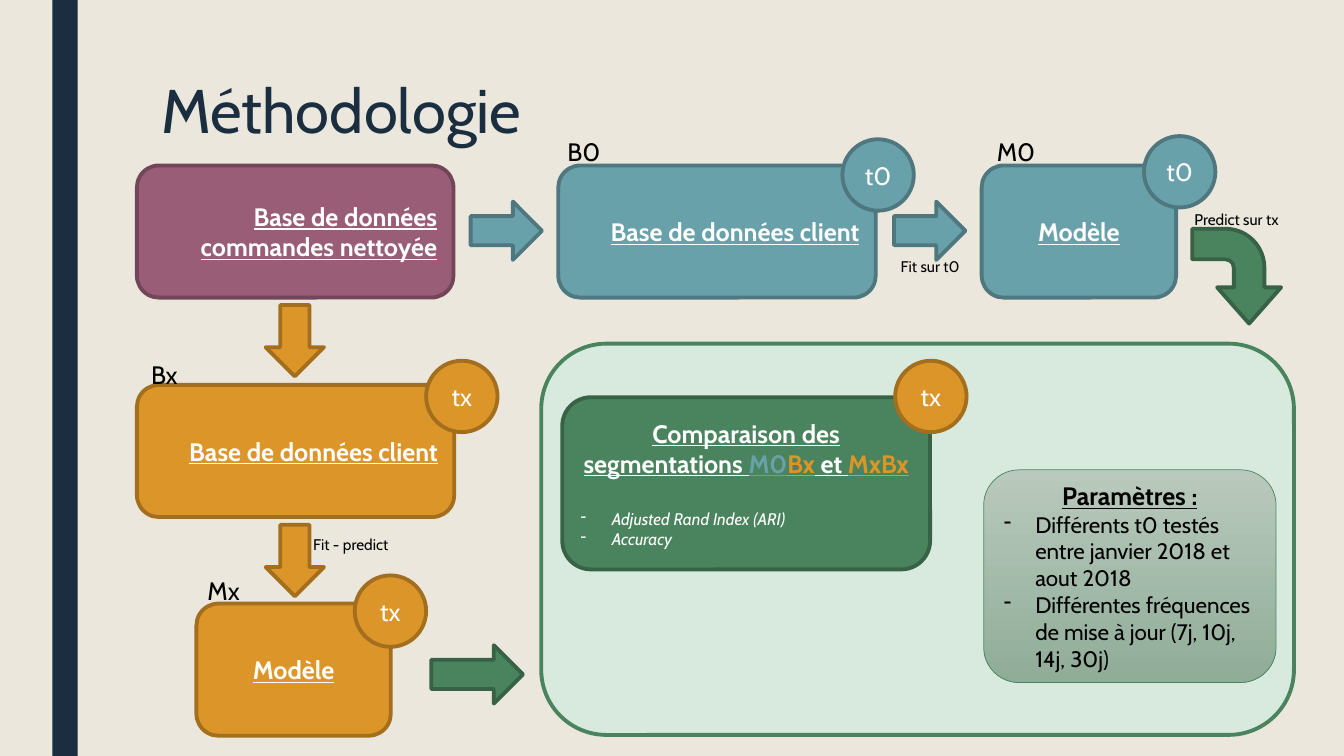
from lxml import etree
from pptx import Presentation
from pptx.dml.color import RGBColor
from pptx.enum.shapes import MSO_SHAPE
from pptx.enum.text import MSO_ANCHOR, PP_ALIGN
from pptx.oxml.ns import qn
from pptx.util import Cm, Pt

ROUNDED, RECTANGLE, CIRCLE = MSO_SHAPE.ROUNDED_RECTANGLE, MSO_SHAPE.RECTANGLE, MSO_SHAPE.OVAL
ARROW, BENT_ARROW = MSO_SHAPE.RIGHT_ARROW, MSO_SHAPE.BENT_ARROW
LEFT, CENTER, RIGHT = PP_ALIGN.LEFT, PP_ALIGN.CENTER, PP_ALIGN.RIGHT
MIDDLE, TOP = MSO_ANCHOR.MIDDLE, MSO_ANCHOR.TOP

BACKGROUND = RGBColor(0xEB, 0xE7, 0xDD)
NAVY = RGBColor(0x1A, 0x2E, 0x40)
WHITE = RGBColor(0xFF, 0xFF, 0xFF)
BLACK = RGBColor(0x00, 0x00, 0x00)
PALE_GREEN = RGBColor(0xD8, 0xE9, 0xDE)
GREY_LIGHT = RGBColor(0xB9, 0xC9, 0xBD)
GREY_GREEN = RGBColor(0x90, 0xAD, 0x98)
TEAL = RGBColor(0x69, 0xA1, 0xAB)
ORANGE = RGBColor(0xDC, 0x95, 0x28)
GREEN = RGBColor(0x4A, 0x84, 0x5E)
PURPLE_PAIR = (RGBColor(0x9A, 0x5D, 0x78), RGBColor(0x72, 0x45, 0x59))
TEAL_PAIR = (TEAL, RGBColor(0x4E, 0x77, 0x7F))
ORANGE_PAIR = (ORANGE, RGBColor(0xA3, 0x6E, 0x1E))
GREEN_PAIR = (GREEN, RGBColor(0x37, 0x62, 0x46))

FONT = "Cabin"
HEADING = {"size": Pt(18), "bold": True, "underline": True}
PLAIN = {"size": Pt(18)}
NOTE = {"size": Pt(11)}
METRIC = {"size": Pt(12), "italic": True}
PARAMETER = {"size": Pt(16)}
TITLE = {"size": Pt(44)}
BADGE_SIZE = 1.8
ARROW_SIZE = (1.8, 1.47)


def place(slide, kind, box, colours, width=2.75):
    """Draw a preset shape with its fill and outline."""
    shape = slide.shapes.add_shape(kind, *map(Cm, box))
    shape.shadow.inherit = False
    fill, outline = colours
    if fill is not None:
        shape.fill.solid()
        shape.fill.fore_color.rgb = fill
    if outline is None:
        shape.line.fill.background()
    else:
        shape.line.color.rgb = outline
        shape.line.width = Pt(width)
    return shape


def write(shape, paragraphs, anchor=MIDDLE):
    """Write (alignment, format, coloured runs, bulleted) paragraphs in a shape."""
    frame = shape.text_frame
    frame.word_wrap = True
    frame.vertical_anchor = anchor
    for index, (alignment, style, pieces, bulleted) in enumerate(paragraphs):
        paragraph = frame.add_paragraph() if index else frame.paragraphs[0]
        paragraph.alignment = alignment
        if bulleted:
            properties = paragraph._p.get_or_add_pPr()
            properties.set("marL", str(Cm(0.79)))
            properties.set("indent", str(-Cm(0.79)))
            etree.SubElement(properties, qn("a:buChar")).set("char", "-")
        for words, colour in pieces:
            run = paragraph.add_run()
            run.text = words
            for name, value in {"name": FONT, **style}.items():
                setattr(run.font, name, value)
            run.font.color.rgb = colour
    return frame


def label(slide, box, words, style=PLAIN, alignment=LEFT, colour=BLACK):
    """Put a caption directly on the slide."""
    caption = slide.shapes.add_textbox(*map(Cm, box))
    return write(caption, [(alignment, style, [(words, colour)], False)], TOP)


def badge(slide, left, top, period, colours):
    """Draw a round period marker."""
    circle = place(slide, CIRCLE, (left, top, BADGE_SIZE, BADGE_SIZE), colours)
    write(circle, [(CENTER, PLAIN, [(period, WHITE)], False)])


def card(slide, box, heading, alignment, colours):
    """Draw a rounded box with an underlined heading."""
    write(place(slide, ROUNDED, box, colours), [(alignment, HEADING, [(heading, WHITE)], False)])


def stage(slide, box, heading, alignment, colours, code, code_shift, period, badge_shift):
    """Draw a card with its code above and its period on the corner."""
    left, top, width, _ = box
    card(slide, box, heading, alignment, colours)
    label(slide, (left + code_shift[0], top + code_shift[1], 1.6, 1.02), code)
    badge(slide, left + width + badge_shift[0], top + badge_shift[1], period, colours)


def frame_slide(slide, width, height):
    """Set the background, the side bar and the title."""
    slide.background.fill.solid()
    slide.background.fill.fore_color.rgb = BACKGROUND
    place(slide, RECTANGLE, (1.32, 0, 0.64, height), (NAVY, None))
    title = label(slide, (3.81, 1.91, width - 7.2, 4.11), "Méthodologie", TITLE, colour=NAVY)
    title.paragraphs[0].line_spacing = 0.89


def reference_row(slide, box):
    """Draw the cleaned orders base and the t0 chain to its right."""
    left, top, _, height = box
    card(slide, (left, top, 7.98, height), "Base de données commandes nettoyée", RIGHT, PURPLE_PAIR)
    stage(slide, (left + 10.62, top, 8, height), "Base de données client", RIGHT,
          TEAL_PAIR, "B0", (-0.02, -0.87), "t0", (-0.84, -0.66))
    stage(slide, (left + 21.29, top, 4.9, height), "Modèle", CENTER,
          TEAL_PAIR, "M0", (0.13, -0.87), "t0", (-0.81, -0.74))
    for shift in (8.41, 19.08):
        place(slide, ARROW, (left + shift, top + 0.91, *ARROW_SIZE), TEAL_PAIR)
    label(slide, (left + 19, top + 2.18, 2.08, 0.74), "Fit sur t0", NOTE)
    turn = place(slide, BENT_ARROW, (left + 26.52, top + 1.67, 2.39, 2.24), GREEN_PAIR)
    turn.rotation = 90
    for index, ratio in enumerate((0.344, 0.36, 0.407, 0.438)):
        turn.adjustments[index] = ratio
    label(slide, (left + 26.4, top + 0.99, 3, 0.74), "Predict sur tx", NOTE)


def update_column(slide, box):
    """Draw the tx chain running down to the model."""
    left, top, width, _ = box
    stage(slide, (left, top + 1.85, width, 3.33), "Base de données client", RIGHT,
          ORANGE_PAIR, "Bx", (0.11, -0.78), "tx", (-0.71, -0.61))
    stage(slide, (left + 1.5, top + 7.36, 4.9, 3.33), "Modèle", CENTER,
          ORANGE_PAIR, "Mx", (0.03, -0.83), "tx", (-0.91, -0.71))
    for shift in (0, 5.54):
        place(slide, ARROW, (left + 3.08, top + shift, *ARROW_SIZE), ORANGE_PAIR).rotation = 90
    label(slide, (left + 4.17, top + 5.51, 2.44, 0.74), "Fit - predict", NOTE, CENTER)
    place(slide, ARROW, (left + 7.42, top + 8.41, 2.31, 1.47), GREEN_PAIR)


def comparison_panel(slide, box):
    """Draw the panel comparing segmentations, with its parameters."""
    left, top, _, _ = box
    place(slide, ROUNDED, box, (PALE_GREEN, GREEN))

    comparison = place(slide, ROUNDED, (left + 0.53, top + 1.35, 9.27, 4.34), GREEN_PAIR)
    heading = [("Comparaison des segmentations ", WHITE), ("M0", TEAL), ("Bx", ORANGE),
               (" et ", WHITE), ("MxBx", ORANGE)]
    metrics = ("Adjusted Rand Index (ARI)", "Accuracy")
    frame = write(comparison, [(CENTER, HEADING, heading, False)]
                  + [(LEFT, METRIC, [(metric, WHITE)], True) for metric in metrics])
    frame.paragraphs[1].space_before = Pt(21.5)
    badge(slide, left + 8.92, top + 0.43, "tx", ORANGE_PAIR)

    settings = place(slide, ROUNDED, (left + 11.15, top + 3.18, 7.37, 5.36), (None, GREEN), 0.5)
    settings.fill.gradient()
    settings.fill.gradient_angle = 270
    for stop, colour in zip(settings.fill.gradient_stops, (GREY_LIGHT, GREY_GREEN)):
        stop.color.rgb = colour
    parameters = ("Différents t0 testés entre janvier 2018 et aout 2018",
                  "Différentes fréquences de mise à jour (7j, 10j, 14j, 30j)")
    write(settings, [(CENTER, HEADING, [("Paramètres :", BLACK)], False)]
          + [(LEFT, PARAMETER, [(parameter, BLACK)], True) for parameter in parameters])


def main():
    """Build the methodology slide and save it."""
    width, height = 33.87, 19.05
    deck = Presentation()
    deck.slide_width, deck.slide_height = Cm(width), Cm(height)
    slide = deck.slides.add_slide(deck.slide_layouts[6])
    frame_slide(slide, width, height)
    comparison_panel(slide, (13.64, 8.66, 18.97, 9.86))
    reference_row(slide, (3.45, 4.17, 29.4, 3.33))
    update_column(slide, (3.45, 7.85, 8, 10.69))
    deck.save("out.pptx")


if __name__ == "__main__":
    main()
